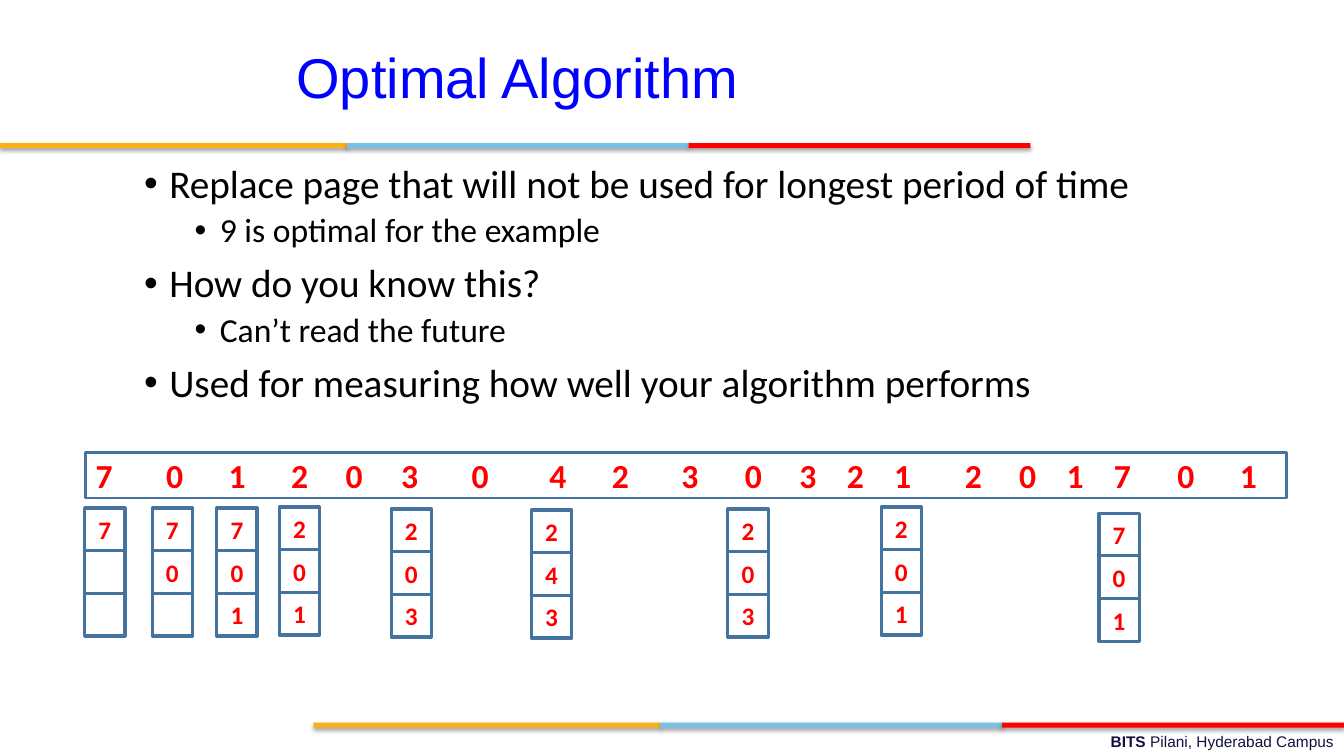
"""Build the Optimal Algorithm page-replacement slide."""
from dataclasses import dataclass

from lxml.etree import SubElement
from pptx import Presentation
from pptx.dml.color import RGBColor
from pptx.enum.shapes import MSO_SHAPE
from pptx.enum.text import MSO_ANCHOR, MSO_AUTO_SIZE, PP_ALIGN
from pptx.oxml.ns import qn
from pptx.shapes.autoshape import Shape
from pptx.shapes.shapetree import GroupShapes, SlideShapes
from pptx.text.text import TextFrame, _Paragraph
from pptx.util import Inches, Pt


@dataclass(frozen=True)
class Theme:
    heading_font: str = "Arial"
    body_font: str = "Calibri"
    title: str = "0000FF"
    text: str = "000000"
    page: str = "FF0000"
    outline: str = "43739E"
    footer: str = "101141"
    bars: tuple[str, ...] = ("FCB017", "76C2E5", "FF0000")
    title_size: int = 40
    bullet_sizes: tuple[int, ...] = (28, 24)
    reference_size: int = 24
    frame_size: int = 18
    footer_size: int = 11


@dataclass(frozen=True)
class Bullet:
    text: str
    level: int = 0


@dataclass(frozen=True)
class FrameStack:
    left: float
    top: float
    pages: str


THEME = Theme()
BAR_WIDTHS = (3.44, 3.39, 3.39)
BULLETS = (
    Bullet("Replace page that will not be used for longest period of time"),
    Bullet("9 is optimal for the example", 1),
    Bullet("How do you know this?"),
    Bullet("Can’t read the future", 1),
    Bullet("Used for measuring how well your algorithm performs"),
)
REFERENCES = "70120304230321201701"
REFERENCE_STOPS = (0.7, 1.32, 1.94, 2.48, 3.03, 3.73, 4.5, 5.12, 5.81, 6.44,
                   6.98, 7.45, 7.92, 8.62, 9.16, 9.63, 10.1, 10.73, 11.35)
STACKS = (
    FrameStack(0.84, 5.04, "7  "),
    FrameStack(1.51, 5.04, "70 "),
    FrameStack(2.15, 5.04, "701"),
    FrameStack(2.77, 5.03, "201"),
    FrameStack(3.88, 5.05, "203"),
    FrameStack(5.27, 5.06, "243"),
    FrameStack(7.22, 5.05, "203"),
    FrameStack(8.74, 5.03, "201"),
    FrameStack(10.9, 5.09, "701"),
)
FRAME_WIDTH, FRAME_HEIGHT, FRAME_PITCH = 0.4, 0.42, 0.85 / 2


def add_text(p: _Paragraph, text: str, font: str, size: int, color: str,
             bold: bool = False) -> None:
    r = p.add_run()
    r.text = text
    r.font.name, r.font.size, r.font.bold = font, Pt(size), bold
    r.font.color.rgb = RGBColor.from_string(color)


def place(sp: Shape, left: float, top: float, width: float, height: float) -> TextFrame:
    sp.left, sp.top, sp.width, sp.height = map(Inches, (left, top, width, height))
    tf = sp.text_frame
    tf.auto_size, tf.word_wrap = MSO_AUTO_SIZE.NONE, True
    tf.vertical_anchor = MSO_ANCHOR.TOP
    return tf


def add_rect(shapes: SlideShapes | GroupShapes, left: float, top: float,
             width: float, height: float) -> Shape:
    sp = shapes.add_shape(MSO_SHAPE.RECTANGLE, *map(Inches, (left, top, width, height)))
    sp.shadow.inherit = False
    return sp


def add_box(shapes: SlideShapes | GroupShapes, left: float, top: float, width: float,
            height: float, line: float, align: PP_ALIGN) -> _Paragraph:
    sp = add_rect(shapes, left, top, width, height)
    sp.fill.background()
    sp.line.color.rgb = RGBColor.from_string(THEME.outline)
    sp.line.width = Pt(line)
    sp.text_frame.vertical_anchor = MSO_ANCHOR.MIDDLE
    p = sp.text_frame.paragraphs[0]
    p.alignment = align
    return p


def add_bars(shapes: SlideShapes, left: float, top: float) -> None:
    group = shapes.add_group_shape().shapes
    for width, color in zip(BAR_WIDTHS, THEME.bars):
        sp = add_rect(group, left, top, width, 0.05)
        sp.fill.solid()
        sp.fill.fore_color.rgb = RGBColor.from_string(color)
        sp.line.fill.background()
        effects = sp._element.spPr.find(qn("a:effectLst"))
        shadow = SubElement(effects, qn("a:outerShdw"), blurRad=str(Pt(3.1)),
                            dist=str(Pt(1.8)), dir="5400000", rotWithShape="0")
        black = SubElement(shadow, qn("a:srgbClr"), val="000000")
        SubElement(black, qn("a:alpha"), val="35000")
        left += width


def add_bullet(p: _Paragraph, bullet: Bullet, first: bool) -> None:
    pPr = p._p.get_or_add_pPr()
    pPr.set("marL", str(Inches(0.25 + 0.5 * bullet.level)))
    pPr.set("indent", str(-Inches(0.25)))
    color = SubElement(pPr, qn("a:buClr"))
    SubElement(color, qn("a:srgbClr"), val=THEME.text)
    SubElement(pPr, qn("a:buFont"), typeface=THEME.heading_font)
    SubElement(pPr, qn("a:buChar"), char="•")
    p.level = bullet.level
    p.line_spacing = 0.9
    p.space_before = Pt(0 if first else (10, 5)[bullet.level])
    add_text(p, bullet.text, THEME.body_font, THEME.bullet_sizes[bullet.level], THEME.text)


def add_references(shapes: SlideShapes) -> None:
    p = add_box(shapes, 0.85, 4.49, 11.91, 0.45, 2, PP_ALIGN.LEFT)
    tabs = SubElement(p._p.get_or_add_pPr(), qn("a:tabLst"))
    for stop in REFERENCE_STOPS:
        SubElement(tabs, qn("a:tab"), pos=str(Inches(stop)), algn="l")
    add_text(p, "\t".join(REFERENCES), THEME.body_font, THEME.reference_size,
             THEME.page, True)


def add_stack(shapes: SlideShapes, stack: FrameStack) -> None:
    group = shapes.add_group_shape().shapes
    for i, page in enumerate(stack.pages):
        p = add_box(group, stack.left, stack.top + i * FRAME_PITCH,
                    FRAME_WIDTH, FRAME_HEIGHT, 2.25, PP_ALIGN.CENTER)
        if page.strip():
            add_text(p, page, THEME.body_font, THEME.frame_size, THEME.page, True)


def main() -> None:
    prs = Presentation()
    prs.slide_width, prs.slide_height = Inches(13.33), Inches(7.5)
    s = prs.slides.add_slide(prs.slide_layouts[1])

    p = place(s.shapes.title, 0.48, 0.37, 9.3, 0.76).paragraphs[0]
    p.alignment = PP_ALIGN.CENTER
    add_text(p, "Optimal Algorithm", THEME.heading_font, THEME.title_size, THEME.title)

    tf = place(s.placeholders[1], 1.33, 1.58, 12, 5.53)
    for i, bullet in enumerate(BULLETS):
        add_bullet(tf.add_paragraph() if i else tf.paragraphs[0], bullet, i == 0)

    add_bars(s.shapes, 0, 1.42)
    add_bars(s.shapes, 3.11, 7.17)
    tf = place(s.shapes.add_textbox(0, 0, 0, 0), 4.78, 7.21, 8.55, 0.28)
    p = tf.paragraphs[0]
    p.alignment = PP_ALIGN.RIGHT
    add_text(p, "BITS ", THEME.heading_font, THEME.footer_size, THEME.footer, True)
    add_text(p, "Pilani, Hyderabad Campus", THEME.heading_font, THEME.footer_size,
             THEME.footer)

    add_references(s.shapes)
    for stack in STACKS:
        add_stack(s.shapes, stack)
    prs.save("out.pptx")


if __name__ == "__main__":
    main()
